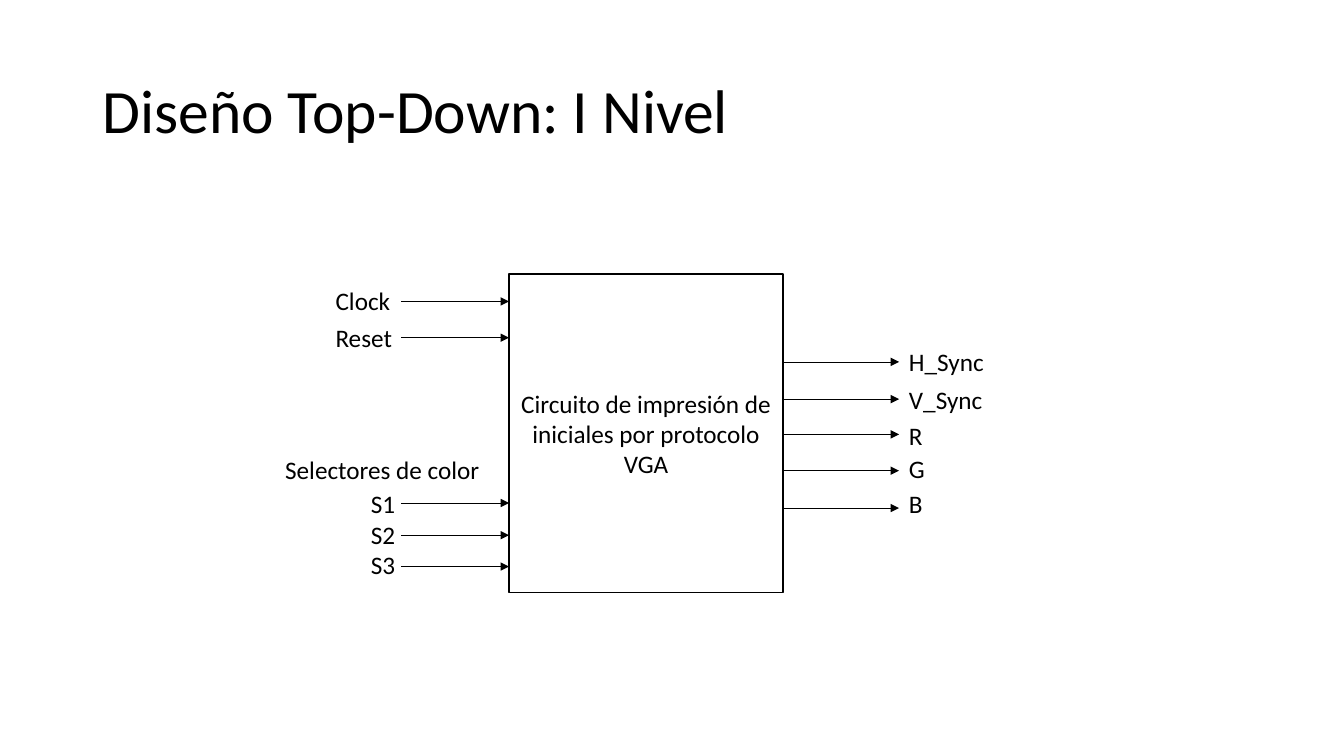
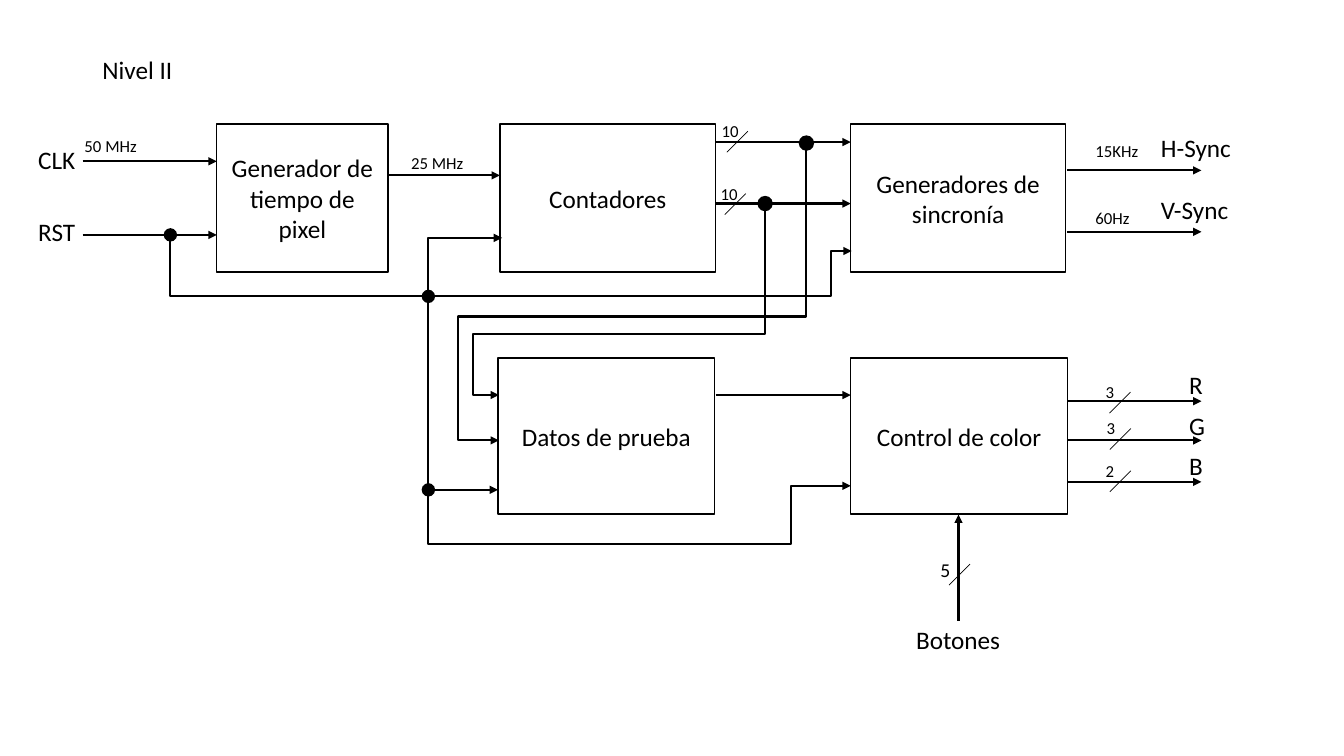
import lxml.etree
import pptx
import pptx.dml.color
import pptx.enum.shapes
import pptx.enum.text
import pptx.oxml.ns
import pptx.util

Pt = pptx.util.Pt
SHAPE = pptx.enum.shapes.MSO_SHAPE
ANCHOR = pptx.enum.text.MSO_ANCHOR
ALIGN = pptx.enum.text.PP_ALIGN
COLORS = {"ink": "000000", "paper": "FFFFFF"}
FONT = "Calibri"


def rgb(name):
    """Return the named colour."""
    return pptx.dml.color.RGBColor.from_string(COLORS[name])


def apply(obj, fmt):
    """Set every attribute in fmt on obj."""
    for key, value in fmt.items():
        setattr(obj, key, value)


class Diagram:
    """Style of the block diagrams, and the slide being drawn."""

    def __init__(self, prs):
        self.prs = prs
        self.s = None

    def new_slide(self):
        """Start a slide with a title placeholder only."""
        self.s = self.prs.slides.add_slide(self.prs.slide_layouts[5])

    def fill_text(self, tf, text, size=18, align=ALIGN.LEFT, spacing=1.0, **frame):
        """Fill a text frame, one paragraph a line."""
        apply(tf, frame)
        for i, line in enumerate(text.split("\n")):
            p = tf.add_paragraph() if i else tf.paragraphs[0]
            apply(p, {"alignment": align, "line_spacing": spacing})
            r = p.add_run()
            r.text = line
            apply(r.font, {"name": FONT, "size": Pt(size)})
            r.font.color.rgb = rgb("ink")

    def title(self, text, x, y, w, h, **style):
        """Move and fill the title placeholder."""
        sp = self.s.shapes.title
        apply(sp, {"left": Pt(x), "top": Pt(y), "width": Pt(w), "height": Pt(h)})
        self.fill_text(sp.text_frame, text, **style)

    def label(self, text, x, y, w, size=18):
        """Add an unwrapped label as high as its lines."""
        h = 1.2 * size * len(text.split("\n")) + 7.2
        sp = self.s.shapes.add_textbox(Pt(x), Pt(y), Pt(w), Pt(h))
        self.fill_text(sp.text_frame, text, size, word_wrap=False,
                       auto_size=pptx.enum.text.MSO_AUTO_SIZE.SHAPE_TO_FIT_TEXT)

    def shape(self, kind, x, y, w, h, fill):
        """Add a filled shape with a thin outline."""
        sp = self.s.shapes.add_shape(kind, Pt(x), Pt(y), Pt(w), Pt(h))
        sp.shadow.inherit = False
        sp.fill.solid()
        sp.fill.fore_color.rgb = rgb(fill)
        sp.line.color.rgb = rgb("ink")
        sp.line.width = Pt(1)
        return sp

    def block(self, text, x, y, w, h):
        """Add a circuit block with a centred name."""
        sp = self.shape(SHAPE.RECTANGLE, x, y, w, h, "paper")
        self.fill_text(sp.text_frame, text, align=ALIGN.CENTER, word_wrap=True,
                       vertical_anchor=ANCHOR.MIDDLE)

    def dot(self, x, y, d):
        """Add a junction dot centred on a point."""
        self.shape(SHAPE.OVAL, x - d / 2, y - d / 2, d, d, "ink")

    def wire(self, *points, width=1.5, arrow=True):
        """Join points: a connector for two, an open path for more."""
        pts = [(Pt(x), Pt(y)) for x, y in points]
        if len(pts) == 2:
            sp = self.s.shapes.add_connector(
                pptx.enum.shapes.MSO_CONNECTOR.STRAIGHT, *pts[0], *pts[1])
        else:
            builder = self.s.shapes.build_freeform(*pts[0], scale=1.0)
            builder.add_line_segments(pts[1:], close=False)
            sp = builder.convert_to_shape()
            sp.fill.background()
        sp.line.color.rgb = rgb("ink")
        sp.line.width = Pt(width)
        qn = pptx.oxml.ns.qn
        spPr = sp._element.spPr
        if arrow:
            lxml.etree.SubElement(spPr.find(qn("a:ln")), qn("a:tailEnd"), type="triangle")
        lxml.etree.SubElement(spPr, qn("a:effectLst"))

    def slash(self, x, y, r=7.5):
        """Mark a bus with a slanted stroke centred on a point."""
        self.wire((x + r, y - r), (x - r, y + r), width=0.5, arrow=False)


def level_one(d):
    """Draw the circuit as one block with its inputs and outputs."""
    d.new_slide()
    d.title("Diseño Top-Down: I Nivel", 66, 28.75, 828, 104.4, size=44, spacing=0.9,
            vertical_anchor=ANCHOR.MIDDLE)
    d.block("Circuito de impresión de iniciales por protocolo VGA",
            363.6, 195.8, 195.8, 227.5)
    for y in (215.3, 241.2, 359.3, 382.3, 404.7):
        d.wire((286.5, y), (363.6, y), width=0.5)
    for text, x, y, w in (("Clock", 232.6, 200.2, 54), ("Reset", 232.6, 226.8, 55.4),
                          ("Selectores de color", 196.6, 321.1, 154.8),
                          ("S1\nS2\nS3", 257.8, 345.6, 32.4)):
        d.label(text, x, y, w)
    for text, y, label_y, w in (("H_Sync", 258.5, 244.1, 68.4), ("V_Sync", 285.1, 270.7, 67.7),
                                ("R", 310.3, 296.6, 24.5), ("G", 336.2, 320.4, 25.9),
                                ("B", 362.9, 345.6, 24.5)):
        d.wire((559, y), (642.2, y), width=0.5)
        d.label(text, 642.2, label_y, w)


def level_two(d):
    """Draw the five blocks inside the circuit and their wiring."""
    d.new_slide()
    d.title("Nivel II", 66, 35.3, 64.8, 28.8, word_wrap=False, vertical_anchor=ANCHOR.TOP)
    top, top_h, low, low_h = 88.6, 105.8, 255.6, 111.6
    for text, x, y, w, h in (("Generador de tiempo de pixel", 154.8, top, 122.4, top_h),
                             ("Contadores", 357.1, top, 154.1, top_h),
                             ("Generadores de sincronía", 607.7, top, 153.4, top_h),
                             ("Datos de prueba", 355.7, low, 154.8, low_h),
                             ("Control de color", 607.7, low, 154.8, low_h)):
        d.block(text, x, y, w, h)

    for x1, x2, rows in ((59, 154.8, (115.2, 167.8)), (277.9, 357.1, (125.3,)),
                         (511.2, 607.7, (101.5, 145.4, 282.2)),
                         (762.5, 858.2, (121.7, 165.6, 286.6, 314.6, 344.2))):
        for y in rows:
            d.wire((x1, y), (x2, y))
    d.wire((684.7, 443.5), (684.7, 367.6))

    reset_x, reset_y = 306, 211.7
    d.wire((121.7, 167.8), (121.7, reset_y), (reset_x, reset_y), (reset_x, 169.9), (358.6, 169.9))
    d.wire((reset_x, reset_y), (593.3, reset_y), (593.3, 179.3), (608.4, 179.3))
    d.wire((reset_x, reset_y), (reset_x, 349.9), (355.7, 349.9))
    d.wire((reset_x, 349.9), (reset_x, 388.8), (565.2, 388.8), (565.2, 347), (607.7, 347))
    d.wire((546.5, 145.4), (546.5, 238.3), (337.7, 238.3), (337.7, 282.2), (356.4, 282.2))
    d.wire((576, 102.2), (576, 226.1), (326.9, 226.1), (326.9, 314.6), (356.4, 314.6))

    for x, y, size in ((576, 102.2, 10), (546.5, 145.4, 10), (121.7, 167.8, 8.6),
                       (reset_x, reset_y, 8.6), (reset_x, 349.9, 8.6)):
        d.dot(x, y, size)
    for x, y in ((526.7, 101.2), (525.2, 145.8), (685.4, 410.4),
                 (800, 287.6), (800.3, 313.6), (800.3, 343.8)):
        d.slash(x, y)

    for text, x, y, w in (("CLK", 20.2, 99.4, 41.8), ("RST", 20.2, 151.2, 41),
                          ("H-Sync", 822.2, 90.7, 64.8), ("V-Sync", 822.2, 135.4, 64.8),
                          ("R", 842.4, 260.6, 24.5), ("G", 842.4, 289.4, 25.9),
                          ("B", 842.4, 318.2, 24.5), ("Botones", 647.3, 442.1, 74.9)):
        d.label(text, x, y, w)
    for text, x, y, w in (("50 MHz", 53.3, 93.6, 52.6), ("25 MHz", 286.6, 105.8, 52.6),
                          ("10", 508.3, 82.8, 26.6), ("10", 507.6, 127.4, 26.6),
                          ("15KHz", 775.4, 97.2, 45.4), ("60Hz", 775.4, 144.7, 39.6),
                          ("3", 782.6, 269.3, 20.9), ("3", 783.4, 295.2, 20.9),
                          ("2", 782.6, 325.4, 20.9)):
        d.label(text, x, y, w, size=12)
    d.label("5", 664.6, 394.6, 21.6, size=14)


prs = pptx.Presentation()
apply(prs, {"slide_width": Pt(960), "slide_height": Pt(540)})
diagram = Diagram(prs)
level_one(diagram)
level_two(diagram)
prs.save("out.pptx")
